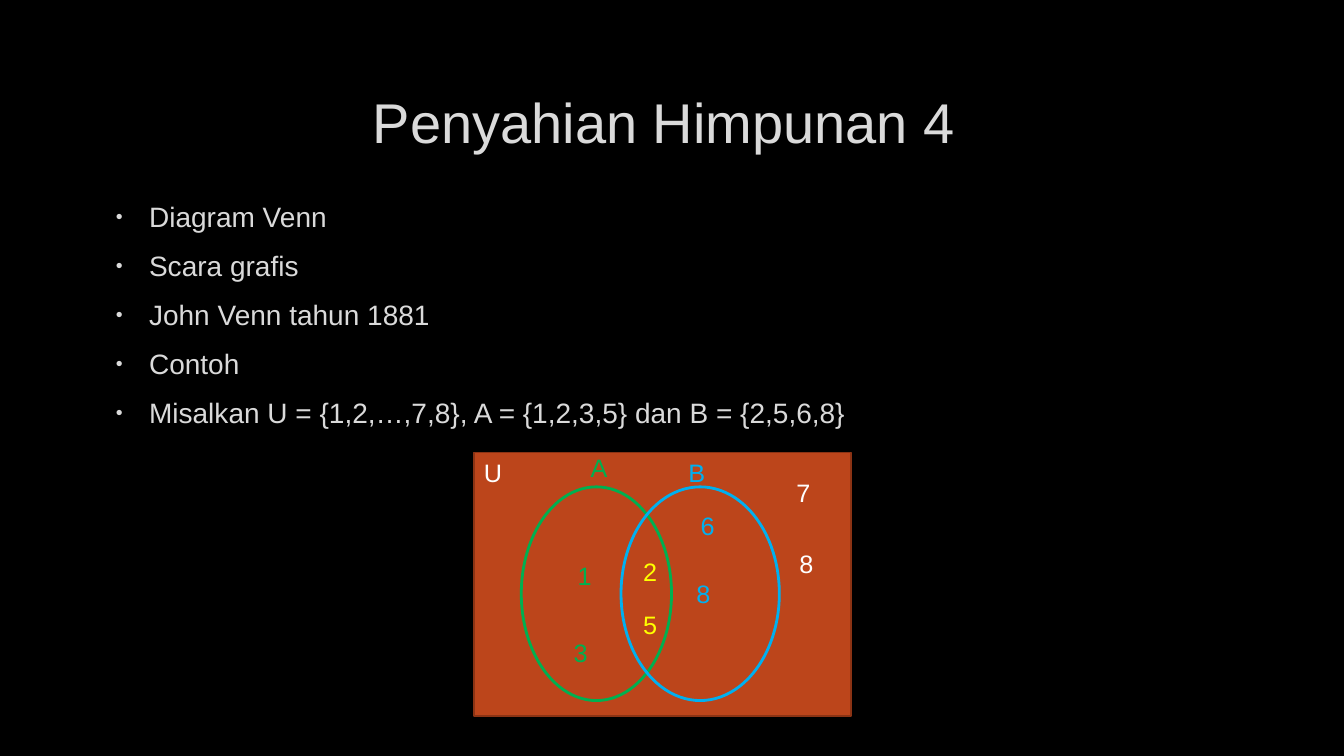
from typing import NamedTuple

import pptx
import pptx.dml.color
import pptx.enum.shapes
import pptx.enum.text
import pptx.oxml
import pptx.oxml.ns
import pptx.util

PX = 9144  # EMU in one px, at 100 px to the inch
FONT = "Arial"
HUES = {
    "back": "000000", "text": "DADADA", "box": "BC451B", "edge": "8B3314",
    "white": "FFFFFF", "green": "00B050", "blue": "00B0F0", "gold": "FFFF00",
}


class Form(NamedTuple):
    kind: str
    area: tuple[int, int, int, int]
    fill: str | None
    line: str
    width: float


class Label(NamedTuple):
    text: str
    left: int
    top: int
    hue: str
    width: int = 33


TITLE = "Penyahian Himpunan 4 "
POINTS = [
    "Diagram Venn",
    "Scara grafis",
    "John Venn tahun 1881",
    "Contoh",
    "Misalkan U = {1,2,…,7,8}, A = {1,2,3,5} dan B = {2,5,6,8}",
]
FORMS = [
    Form("RECTANGLE", (470, 449, 374, 261), "box", "edge", 1.25),
    Form("OVAL", (517, 483, 149, 212), None, "green", 2),
    Form("OVAL", (616, 483, 157, 212), None, "blue", 2),
]
LABELS = [
    Label("U", 470, 449, "white", 40),
    Label("A", 576, 444, "green", 40),
    Label("B", 673, 449, "blue", 36),
    Label("8", 681, 569, "blue"),
    Label("6", 685, 501, "blue"),
    Label("1", 563, 551, "green"),
    Label("3", 559, 627, "green"),
    Label("7", 780, 469, "white"),
    Label("8", 783, 539, "white"),
    Label("2", 628, 547, "gold"),
    Label("5", 628, 600, "gold"),
]


def color(hue: str) -> pptx.dml.color.RGBColor:
    return pptx.dml.color.RGBColor.from_string(HUES[hue])


def scale(area: tuple[int, int, int, int]) -> list[int]:
    return [n * PX for n in area]


def style(para, size: int, hue: str) -> None:
    for name, value in {"name": FONT, "size": pptx.util.Pt(size)}.items():
        setattr(para.font, name, value)
    para.font.color.rgb = color(hue)


def add_text(slide, text: str, area: tuple[int, int, int, int],
             size: int, hue: str, wrap: bool = True):
    """Add a text box, one paragraph to each line of text."""
    frame = slide.shapes.add_textbox(*scale(area)).text_frame
    frame.word_wrap = wrap
    frame.text = text
    for para in frame.paragraphs:
        style(para, size, hue)
    return frame


def add_title(slide) -> None:
    frame = add_text(slide, TITLE, (100, 67, 1132, 106), 40, "text")
    frame.vertical_anchor = pptx.enum.text.MSO_ANCHOR.MIDDLE
    frame.paragraphs[0].alignment = pptx.enum.text.PP_ALIGN.CENTER


def add_bullet(para) -> None:
    props = para._p.get_or_add_pPr()
    props.set("marL", str(38 * PX))
    props.set("indent", str(-33 * PX))
    space = pptx.oxml.ns.nsdecls("a")
    for xml in (
        f'<a:buClr {space}><a:srgbClr val="{HUES["text"]}"/></a:buClr>',
        f'<a:buSzPct {space} val="70000"/>',
        f'<a:buFont {space} typeface="{FONT}"/>',
        f'<a:buChar {space} char="•"/>',
    ):
        props.append(pptx.oxml.parse_xml(xml))


def add_points(slide) -> None:
    frame = slide.shapes.add_textbox(*scale((100, 193, 1132, 240))).text_frame
    frame.word_wrap = True
    frame.text = "\n".join(POINTS)
    for i, para in enumerate(frame.paragraphs):
        add_bullet(para)
        style(para, 20, "text")
        para.space_before = pptx.util.Pt(5 if i else 0)
        para.space_after = pptx.util.Pt(6)


def add_form(slide, form: Form) -> None:
    kind = pptx.enum.shapes.MSO_SHAPE[form.kind]
    shape = slide.shapes.add_shape(kind, *scale(form.area))
    shape.shadow.inherit = False
    if form.fill:
        shape.fill.solid()
        shape.fill.fore_color.rgb = color(form.fill)
    else:
        shape.fill.background()
    shape.line.color.rgb = color(form.line)
    shape.line.width = pptx.util.Pt(form.width)


def main() -> None:
    deck = pptx.Presentation()
    deck.slide_width, deck.slide_height = 1333 * PX, 750 * PX
    slide = deck.slides.add_slide(deck.slide_layouts[6])
    slide.background.fill.solid()
    slide.background.fill.fore_color.rgb = color("back")
    add_title(slide)
    add_points(slide)
    for form in FORMS:
        add_form(slide, form)
    for label in LABELS:
        area = (label.left, label.top, label.width, 40)
        add_text(slide, label.text, area, 18, label.hue, wrap=False)
    deck.save("out.pptx")


if __name__ == "__main__":
    main()
